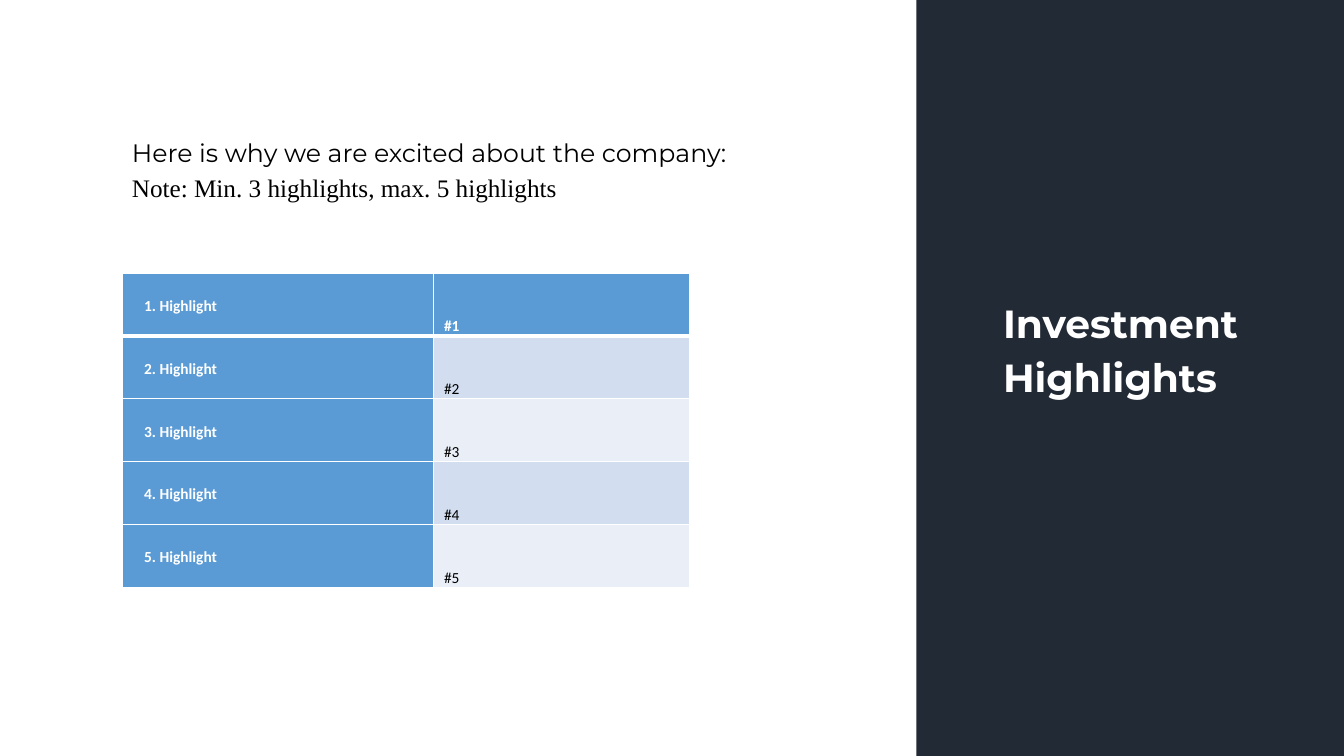
from dataclasses import dataclass
from lxml import etree
from pptx import Presentation
from pptx.dml.color import RGBColor
from pptx.enum.shapes import MSO_SHAPE
from pptx.enum.text import MSO_ANCHOR, MSO_AUTO_SIZE
from pptx.oxml.ns import qn
from pptx.util import Inches, Pt

RECT = MSO_SHAPE.RECTANGLE
MIDDLE, BOTTOM = MSO_ANCHOR.MIDDLE, MSO_ANCHOR.BOTTOM
GROW = MSO_AUTO_SIZE.SHAPE_TO_FIT_TEXT

# Content
TITLE = ["Investment ", "Highlights"]
INTRO = ["Here is why we are excited about the company:",
         "Note: Min. 3 highlights, max. 5 highlights"]
HIGHLIGHTS = [(f"{n}. Highlight ", f"\u00a0#{n}") for n in range(1, 6)]


@dataclass(frozen=True)
class Theme:
    panel: str = "222A35"
    accent: str = "5B9BD5"
    bands: tuple = ("EAEFF7", "D2DEEF")
    light: str = "FFFFFF"
    dark: str = "000000"
    heading_font: str = "Montserrat"
    note_font: str = "Times New Roman"
    table_font: str = "Calibri"
    title_size: int = 28
    intro_size: int = 18
    table_size: int = 11
    spacing: float = 1.15


T = Theme()

# Layout in inches
SLIDE_W, SLIDE_H = 13.33, 7.5
PANEL_X = 9.09
LEFT = 1.21
INTRO_BOX = (LEFT, 1.27, 8.87, 0.8)
TITLE_BOX = (9.85, 2.85, 2.73, 1.15)
TABLE_Y, ROW_H = 2.71, 0.624
COL_W = (3.09, 2.54)


def style(p, font, size, color, bold=False):
    p.line_spacing = T.spacing
    for r in p.runs:
        r.font.name, r.font.size, r.font.bold = font, Pt(size), bold
        r.font.color.rgb = RGBColor.from_string(color)


def add_text(s, box, lines, fonts, size, color, bold=False, wrap=True):
    tf = s.shapes.add_textbox(*map(Inches, box)).text_frame
    tf.word_wrap, tf.auto_size = wrap, GROW
    tf.text = "\n".join(lines)
    for p, font in zip(tf.paragraphs, fonts):
        style(p, font, size, color, bold)


def set_borders(cell, bottom=1, top=1):
    tc_pr = cell._tc.get_or_add_tcPr()
    for side, width in (("L", 1), ("R", 1), ("T", top), ("B", bottom)):
        ln = etree.SubElement(tc_pr, qn(f"a:ln{side}"), w=str(Pt(width)))
        fill = etree.SubElement(ln, qn("a:solidFill"))
        etree.SubElement(fill, qn("a:srgbClr"), val=T.light)


prs = Presentation()
prs.slide_width, prs.slide_height = Inches(SLIDE_W), Inches(SLIDE_H)
s = prs.slides.add_slide(prs.slide_layouts[6])

# Side panel
panel = s.shapes.add_shape(RECT, Inches(PANEL_X), 0,
                           Inches(SLIDE_W - PANEL_X), Inches(SLIDE_H))
panel.shadow.inherit = False
panel.fill.solid()
panel.fill.fore_color.rgb = RGBColor.from_string(T.panel)
panel.line.fill.background()

# Introduction and title
add_text(s, INTRO_BOX, INTRO, (T.heading_font, T.note_font),
         T.intro_size, T.dark)
add_text(s, TITLE_BOX, TITLE, (T.heading_font,) * 2, T.title_size, T.light,
         bold=True, wrap=False)

# Highlights table
table = s.shapes.add_table(
    len(HIGHLIGHTS), len(COL_W), Inches(LEFT), Inches(TABLE_Y),
    Inches(sum(COL_W)), Inches(ROW_H * len(HIGHLIGHTS))).table
for column, width in zip(table.columns, COL_W):
    column.width = Inches(width)
for i, values in enumerate(HIGHLIGHTS):
    table.rows[i].height = Inches(ROW_H)
    for j, value in enumerate(values):
        cell = table.cell(i, j)
        strong = i == 0 or j == 0
        cell.text = value
        cell.vertical_anchor = BOTTOM if j else MIDDLE
        cell.margin_left = cell.margin_right = Inches(0.07)
        cell.margin_top = cell.margin_bottom = 0
        set_borders(cell, bottom=1 if i else 3, top=3 if i == 1 else 1)
        cell.fill.solid()
        cell.fill.fore_color.rgb = RGBColor.from_string(
            T.accent if strong else T.bands[i % 2])
        p = cell.text_frame.paragraphs[0]
        style(p, T.table_font, T.table_size,
              T.light if strong else T.dark, strong)
        if j == 0:
            p._p.get_or_add_pPr().set("indent", str(Inches(0.15)))

prs.save("out.pptx")
